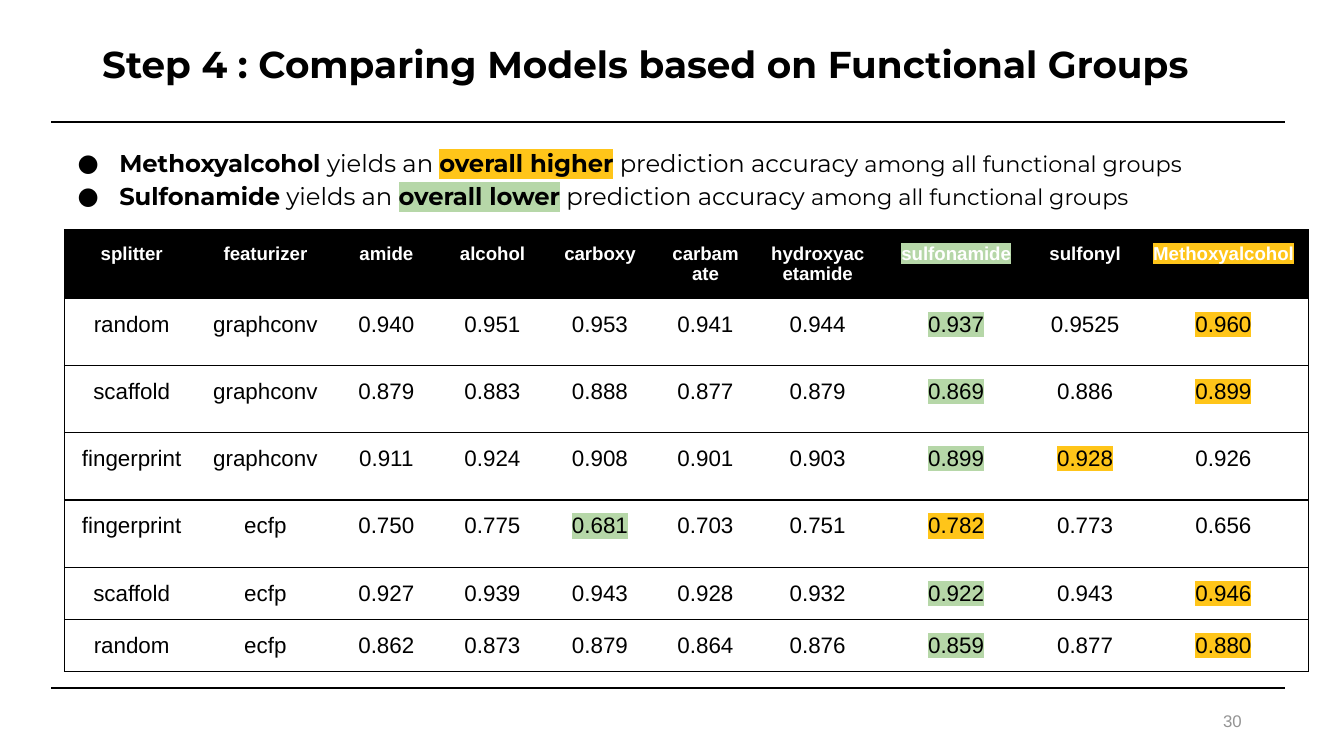
from lxml import etree
from pptx import Presentation
from pptx.dml.color import RGBColor
from pptx.enum.shapes import MSO_CONNECTOR
from pptx.enum.text import MSO_ANCHOR, MSO_AUTO_SIZE, PP_ALIGN
from pptx.oxml.ns import qn
from pptx.util import Inches, Pt

STRAIGHT = MSO_CONNECTOR.STRAIGHT
MIDDLE, TOP = MSO_ANCHOR.MIDDLE, MSO_ANCHOR.TOP
LEFT, CENTER, RIGHT = PP_ALIGN.LEFT, PP_ALIGN.CENTER, PP_ALIGN.RIGHT
NO_FIT = MSO_AUTO_SIZE.NONE
COLORS = {"ink": "000000", "paper": "FFFFFF", "number": "949494",
          "high": "FFC519", "low": "B6D7A8"}
HEADING_FONT, DATA_FONT = "Montserrat", "Arial"
TITLE_INSETS, BODY_INSETS = (0.07, 0.04), (0.1, 0.1)

GROUPS = ["amide", "alcohol", "carboxy", "carbamate", "hydroxyacetamide",
          "sulfonamide", "sulfonyl", "Methoxyalcohol"]
HEADER = ["splitter", "featurizer"] + GROUPS
SCORES = [
    ["random", "graphconv", "0.940", "0.951", "0.953", "0.941", "0.944", "0.937", "0.9525", "0.960"],
    ["scaffold", "graphconv", "0.879", "0.883", "0.888", "0.877", "0.879", "0.869", "0.886", "0.899"],
    ["fingerprint", "graphconv", "0.911", "0.924", "0.908", "0.901", "0.903", "0.899", "0.928", "0.926"],
    ["fingerprint", "ecfp", "0.750", "0.775", "0.681", "0.703", "0.751", "0.782", "0.773", "0.656"],
    ["scaffold", "ecfp", "0.927", "0.939", "0.943", "0.928", "0.932", "0.922", "0.943", "0.946"],
    ["random", "ecfp", "0.862", "0.873", "0.879", "0.864", "0.876", "0.859", "0.877", "0.880"],
]
USUAL_MARKS = {"sulfonamide": "low", "Methoxyalcohol": "high"}
SPECIAL_MARKS = {3: {"sulfonamide": "low", "sulfonyl": "high"},
                 4: {"carboxy": "low", "sulfonamide": "high"}}
COLUMN_WIDTHS = [1, 0.99, 0.81, 0.77, 0.83, 0.74, 0.93, 1.13, 0.79, 1.27]
ROW_HEIGHTS = [0.44] + [0.5] * 4 + [0.33] * 2
SHARED_ENDING = [(" prediction accuracy ", 13, False, None),
                 ("among all functional groups", 12, False, None)]
FINDINGS = [
    [("Methoxyalcohol ", 13, True, None), ("yields an ", 13, False, None),
     ("overall higher", 13, True, "high")] + SHARED_ENDING,
    [("Sulfonamide", 13, True, None), (" yields an ", 13, False, None),
     ("overall lower", 13, True, "low")] + SHARED_ENDING,
]


class SlideBuilder:
    """Holds the style and the current slide, and adds each kind of element."""

    def __init__(self, slide):
        self.slide = slide

    def style_run(self, run, size, font, color="ink", bold=False, mark=None):
        run.font.size, run.font.name, run.font.bold = Pt(size), font, bold
        run.font.color.rgb = RGBColor.from_string(COLORS[color])
        if mark:
            highlight = etree.Element(qn("a:highlight"))
            etree.SubElement(highlight, qn("a:srgbClr"), val=COLORS[mark])
            run.font._element.find(qn("a:solidFill")).addnext(highlight)

    def frame(self, shape, insets, anchor):
        frame = shape.text_frame
        frame.word_wrap, frame.auto_size = True, NO_FIT
        frame.vertical_anchor = anchor
        frame.margin_left = frame.margin_right = Inches(insets[0])
        frame.margin_top = frame.margin_bottom = Inches(insets[1])
        return frame

    def text_box(self, left, top, width, height, insets, anchor):
        box = self.slide.shapes.add_textbox(
            Inches(left), Inches(top), Inches(width), Inches(height))
        return self.frame(box, insets, anchor)

    def title(self, text, left, top, width, height):
        title = self.slide.shapes.title
        title.left, title.top = Inches(left), Inches(top)
        title.width, title.height = Inches(width), Inches(height)
        paragraph = self.frame(title, TITLE_INSETS, MIDDLE).paragraphs[0]
        paragraph.text = text
        paragraph.alignment, paragraph.line_spacing = LEFT, 0.9
        self.style_run(paragraph.runs[0], 20, HEADING_FONT, bold=True)

    def rule(self, y):
        rule = self.slide.shapes.add_connector(
            STRAIGHT, Inches(0.38), Inches(y), Inches(9.56), Inches(y))
        rule.line.color.rgb = RGBColor.from_string(COLORS["ink"])
        rule.line.width = Pt(1.3)
        etree.SubElement(rule._element.spPr, qn("a:effectLst"))

    def page_number(self, text, left, top, width, height):
        frame = self.text_box(left, top, width, height, TITLE_INSETS, MIDDLE)
        frame.text = text
        frame.paragraphs[0].alignment = RIGHT
        self.style_run(frame.paragraphs[0].runs[0], 9, DATA_FONT, "number")

    def bullets(self, items, left, top, width, height):
        frame = self.text_box(left, top, width, height, BODY_INSETS, TOP)
        for index, parts in enumerate(items):
            paragraph = frame.add_paragraph() if index else frame.paragraphs[0]
            paragraph.line_spacing = 1.15
            properties = paragraph._p.get_or_add_pPr()
            properties.set("marL", str(Inches(0.31)))
            properties.set("indent", str(-Inches(0.31)))
            bullet_color = etree.SubElement(properties, qn("a:buClr"))
            etree.SubElement(bullet_color, qn("a:srgbClr"), val=COLORS["ink"])
            etree.SubElement(properties, qn("a:buSzPts"), val="1300")
            etree.SubElement(properties, qn("a:buFont"), typeface=HEADING_FONT)
            etree.SubElement(properties, qn("a:buChar"), char="●")
            for text, size, bold, mark in parts:
                run = paragraph.add_run()
                run.text = text
                self.style_run(run, size, HEADING_FONT, bold=bold, mark=mark)

    def cell_border(self, cell, side, visible):
        line = etree.SubElement(cell._tc.get_or_add_tcPr(), qn(f"a:ln{side}"))
        line.set("w", str(Pt(0.75)))
        if visible:
            fill = etree.SubElement(line, qn("a:solidFill"))
            etree.SubElement(fill, qn("a:srgbClr"), val=COLORS["ink"])
        else:
            etree.SubElement(line, qn("a:noFill"))

    def cell(self, cell, text, is_header, sides, mark):
        for side in "LRTB":
            self.cell_border(cell, side, side in sides)
        cell.margin_left = cell.margin_right = Inches(BODY_INSETS[0])
        cell.margin_top = cell.margin_bottom = Inches(BODY_INSETS[1])
        if is_header:
            cell.fill.solid()
            cell.fill.fore_color.rgb = RGBColor.from_string(COLORS["ink"])
        else:
            cell.fill.background()
        paragraph = cell.text_frame.paragraphs[0]
        paragraph.text = text
        paragraph.alignment = CENTER
        self.style_run(paragraph.runs[0], 10 if is_header else 12, DATA_FONT,
                       "paper" if is_header else "ink", is_header, mark)

    def score_table(self, rows, left, top):
        table = self.slide.shapes.add_table(
            len(rows), len(HEADER), Inches(left), Inches(top),
            Inches(sum(COLUMN_WIDTHS)), Inches(sum(ROW_HEIGHTS))).table
        table.first_row = table.horz_banding = False
        for column, width in zip(table.columns, COLUMN_WIDTHS):
            column.width = Inches(width)
        for row, height in zip(table.rows, ROW_HEIGHTS):
            row.height = Inches(height)
        edges = {0: "LTB", len(HEADER) - 1: "RTB"}
        for r, values in enumerate(rows):
            marks = SPECIAL_MARKS.get(r, USUAL_MARKS)
            for c, value in enumerate(values):
                self.cell(table.cell(r, c), value, r == 0,
                          edges.get(c, "TB"), marks.get(HEADER[c]))


def main():
    presentation = Presentation()
    presentation.slide_width = Inches(10)
    presentation.slide_height = Inches(10 * 9 / 16)
    slide = presentation.slides.add_slide(presentation.slide_layouts[5])
    builder = SlideBuilder(slide)
    builder.title("Step 4 : Comparing Models based on Functional Groups",
                  0.69, 0.13, 8.62, 0.73)
    for y in (5.12, 0.91):
        builder.rule(y)
    builder.page_number("30", 7.06, 5.21, 2.25, 0.3)
    builder.score_table([HEADER] + SCORES, 0.48, 1.71)
    builder.bullets(FINDINGS, 0.48, 0.97, 9.26, 0.56)
    presentation.save("out.pptx")


if __name__ == "__main__":
    main()
